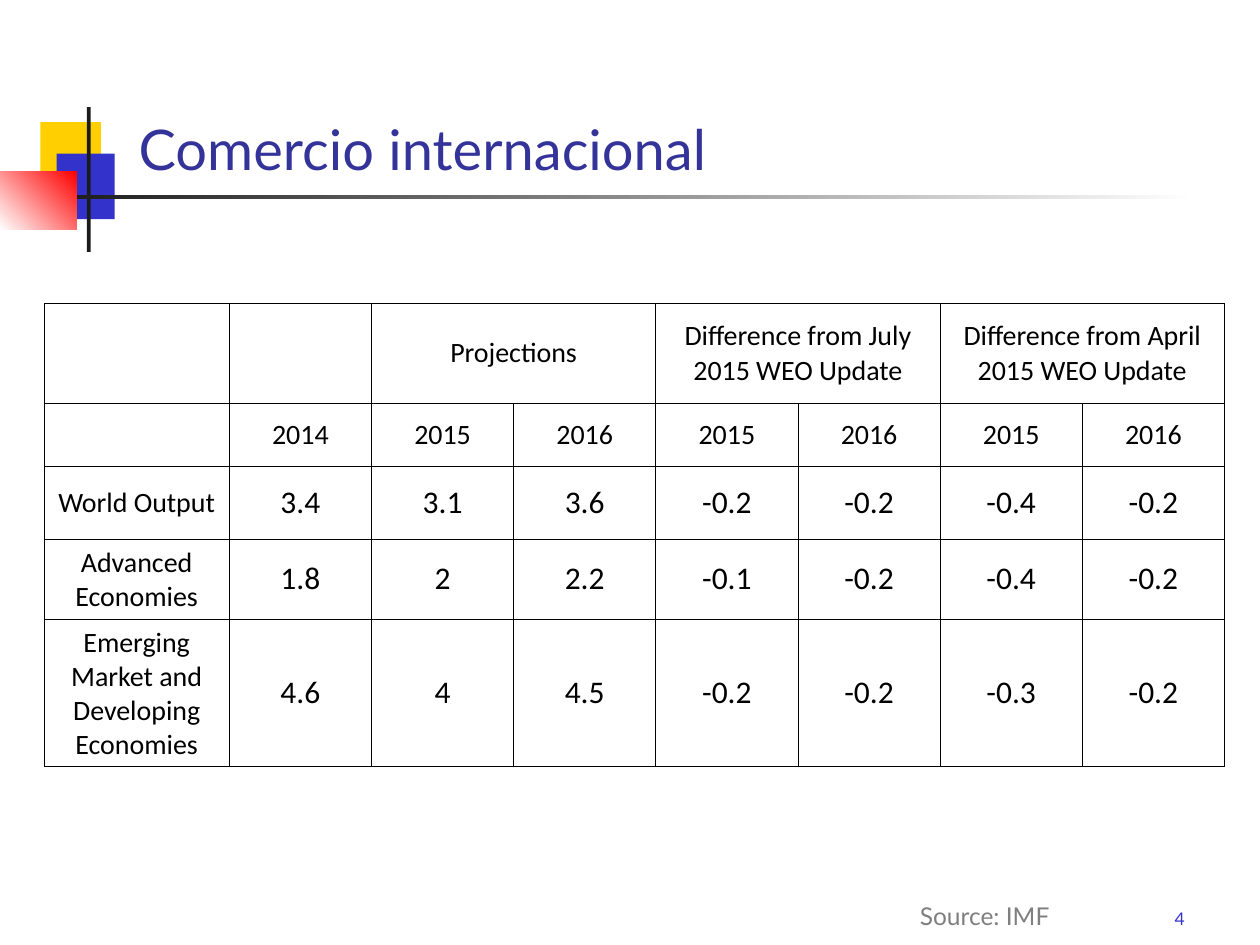
import pptx
import pptx.dml.color
import pptx.enum.shapes
import pptx.enum.text
import pptx.oxml
import pptx.oxml.ns
import pptx.util

Inches, Pt = pptx.util.Inches, pptx.util.Pt
ALIGN, ANCHOR = pptx.enum.text.PP_ALIGN, pptx.enum.text.MSO_ANCHOR

LABEL_SIZE, VALUE_SIZE = 16, 18
LABEL_WIDTH, TABLE_WIDTH = 1.47, 9.37
ROW_HEIGHTS = [0.79, 0.5, 0.58, 0.58, 1.08]
ROWS = [
    ["", "", "Projections", "", "Difference from July\v2015 WEO Update", "",
     "Difference from April\v2015 WEO Update", ""],
    ["", "2014", "2015", "2016", "2015", "2016", "2015", "2016"],
    ["World Output", "3.4", "3.1", "3.6", "-0.2", "-0.2", "-0.4", "-0.2"],
    ["Advanced Economies", "1.8", "2", "2.2", "-0.1", "-0.2", "-0.4", "-0.2"],
    ["Emerging Market and Developing Economies",
     "4.6", "4", "4.5", "-0.2", "-0.2", "-0.3", "-0.2"],
]


def rgb(value):
    return pptx.dml.color.RGBColor.from_string(value)


def set_text(tf, text, size, font, color, align):
    tf.text = text
    p = tf.paragraphs[0]
    p.alignment = align
    for r in p.runs:
        r.font.size = Pt(size)
        r.font.name = font
        r.font.color.rgb = rgb(color)


def add_bar(slide, box, *colors, angle=0):
    """Add a borderless rectangle; two colours make a linear gradient."""
    sp = slide.shapes.add_shape(pptx.enum.shapes.MSO_SHAPE.RECTANGLE,
                                *map(Inches, box))
    sp.shadow.inherit = False
    sp.line.fill.background()
    if len(colors) == 1:
        sp.fill.solid()
        sp.fill.fore_color.rgb = rgb(colors[0])
        return
    sp.fill.gradient()
    sp.fill.gradient_angle = angle
    for stop, color, position in zip(sp.fill.gradient_stops, colors, (0, 1)):
        stop.color.rgb = rgb(color)
        stop.position = position


def add_ornament(slide):
    add_bar(slide, (0.32, 0.97, 0.48, 0.52), "FFCF01")
    add_bar(slide, (0.45, 1.22, 0.46, 0.52), "3333CC")
    add_bar(slide, (0.69, 0.85, 0.03, 1.15), "1C1C1C")
    add_bar(slide, (0.5, 1.55, 9, 0.03), "1C1C1C", "FFFFFF")
    add_bar(slide, (0, 1.36, 0.61, 0.46), "FFFFFF", "FF0000", angle=45)


def set_title(slide, text):
    title = slide.shapes.title
    title.left, title.top = Inches(1), Inches(0.33)
    title.width, title.height = Inches(8.5), Inches(1.17)
    tf = title.text_frame
    tf.vertical_anchor = ANCHOR.BOTTOM
    set_text(tf, text, 32, "Lato", "333399", ALIGN.LEFT)
    tf.paragraphs[0].line_spacing = 0.9


def add_note(slide, box, text, size, color, align, anchor):
    tf = slide.shapes.add_textbox(*map(Inches, box)).text_frame
    tf.word_wrap = True
    tf.vertical_anchor = anchor
    set_text(tf, text, size, "Lato", color, align)


def add_borders(cell, color, width):
    tc_pr = cell._tc.get_or_add_tcPr()
    for side in "LRTB":
        tc_pr.append(pptx.oxml.parse_xml(
            f'<a:ln{side} {pptx.oxml.ns.nsdecls("a")} w="{Pt(width)}">'
            f'<a:solidFill><a:srgbClr val="{color}"/></a:solidFill>'
            f'</a:ln{side}>'))


def format_cell(cell, text, size):
    cell.margin_left = cell.margin_right = Inches(0.01)
    cell.vertical_anchor = ANCHOR.MIDDLE
    add_borders(cell, "000000", 0.45)
    cell.fill.solid()
    cell.fill.fore_color.rgb = rgb("FFFFFF")
    if text:
        set_text(cell.text_frame, text, size, "Calibri", "000000", ALIGN.CENTER)


def add_projection_table(slide):
    n_cols = len(ROWS[0])
    table = slide.shapes.add_table(
        len(ROWS), n_cols, Inches(0.35), Inches(2.41),
        Inches(TABLE_WIDTH), Inches(sum(ROW_HEIGHTS))).table
    table.first_row = table.horz_banding = False
    value_width = (TABLE_WIDTH - LABEL_WIDTH) / (n_cols - 1)
    for i, column in enumerate(table.columns):
        column.width = Inches(value_width if i else LABEL_WIDTH)
    for row, height in zip(table.rows, ROW_HEIGHTS):
        row.height = Inches(height)
    for i, texts in enumerate(ROWS):
        for j, text in enumerate(texts):
            is_value = i > 1 and j > 0
            format_cell(table.cell(i, j), text,
                        VALUE_SIZE if is_value else LABEL_SIZE)
    for j in range(2, n_cols, 2):
        table.cell(0, j).merge(table.cell(0, j + 1))


def main():
    prs = pptx.Presentation()
    prs.slide_width, prs.slide_height = Inches(10), Inches(7.5)
    slide = prs.slides.add_slide(prs.slide_layouts[5])
    add_ornament(slide)
    add_note(slide, (7.42, 6.92, 2.08, 0.5), "4", 10, "3333CC",
             ALIGN.RIGHT, ANCHOR.BOTTOM)
    set_title(slide, "Comercio internacional")
    add_projection_table(slide)
    add_note(slide, (6.81, 7.1, 2.01, 0.34), "Source: IMF", 14, "7F7F7F",
             ALIGN.CENTER, ANCHOR.TOP)
    prs.save("out.pptx")


if __name__ == "__main__":
    main()
